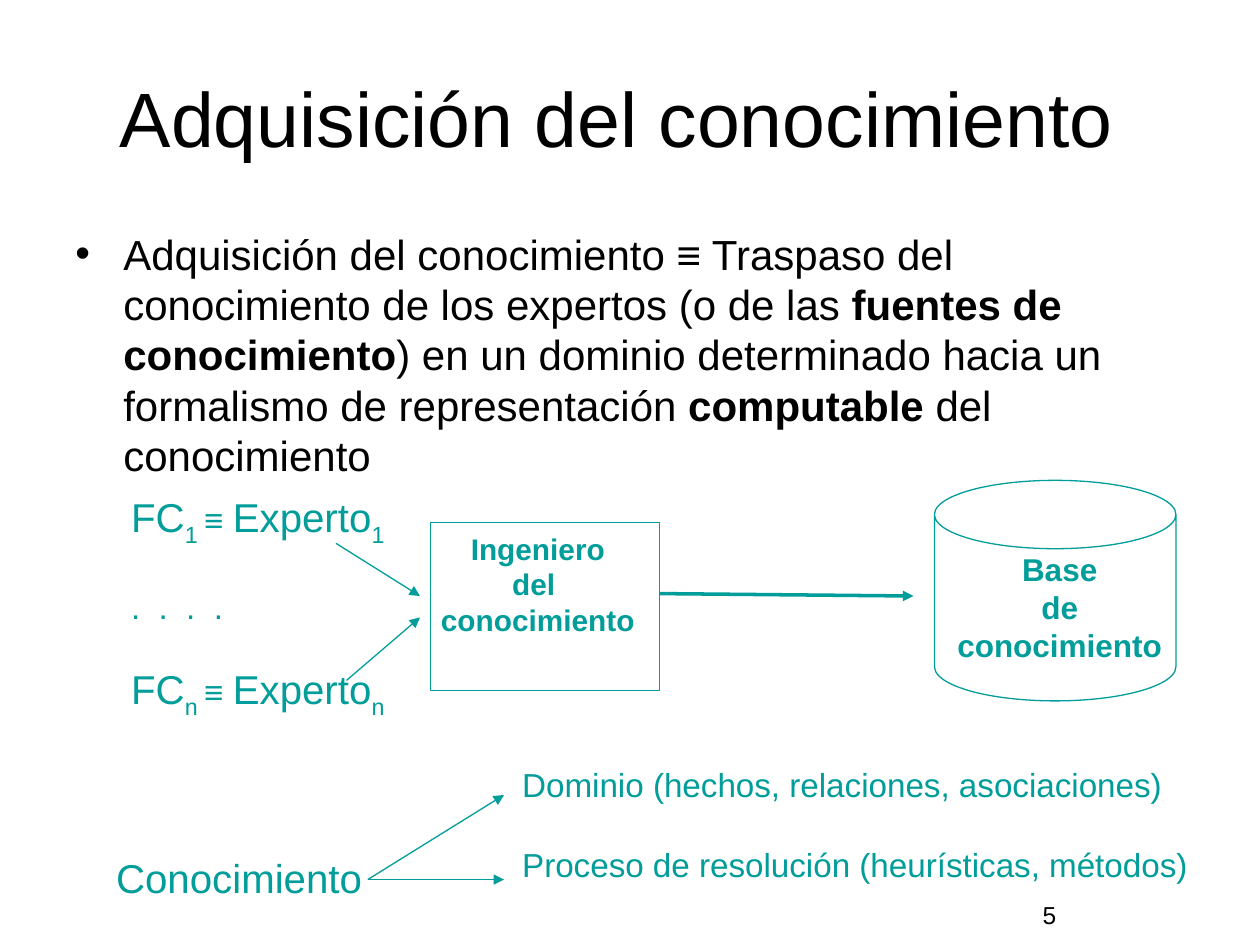
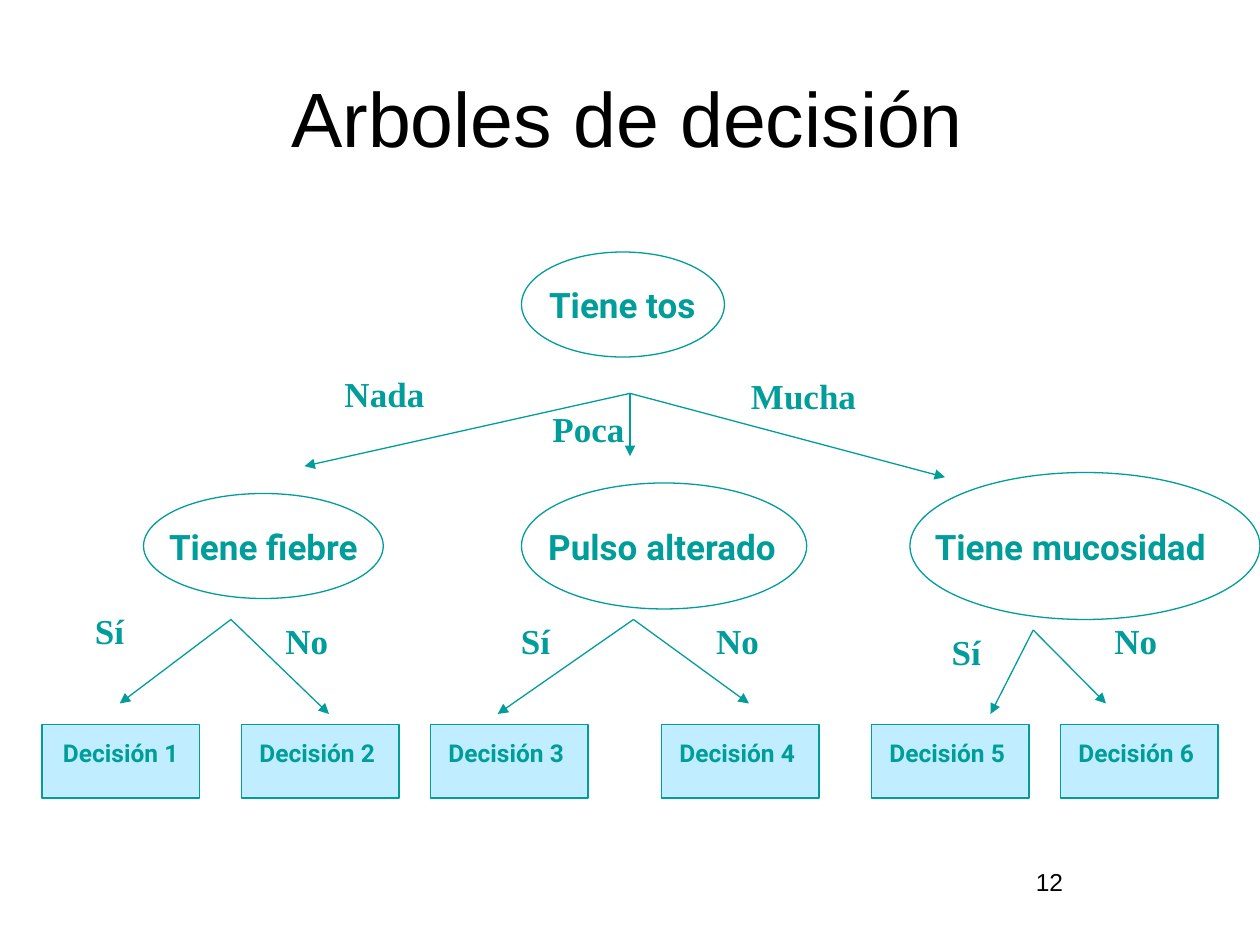
"""Builds two slides on knowledge acquisition and decision trees."""
from lxml import etree
from pptx import Presentation
from pptx import util as u
from pptx.dml import color
from pptx.enum import shapes, text
from pptx.oxml import ns

COLORS = {"ink": "000000", "teal": "009D9A", "paper": "FFFFFF", "ice": "C0EDFF"}
CENTER, LEFT = text.PP_ALIGN.CENTER, text.PP_ALIGN.LEFT
TOP, MIDDLE = text.MSO_ANCHOR.TOP, text.MSO_ANCHOR.MIDDLE

PLAIN = {"size": 23, "name": "Arial", "color": "teal", "bold": False}
BODY = {**PLAIN, "size": 24, "color": "ink"}
DETAIL = {**PLAIN, "size": 19}
BRANCH = {**PLAIN, "size": 20, "name": "Times New Roman", "bold": True}
NODE = {**BRANCH, "name": "Roboto"}
DECISION = {**NODE, "size": 14}
TIGHT = (0, 0, 2.9, 0)  # left, top, right, bottom
PADDED = (2.9, 2.9, 6.5, 2.9)
HEADING = (4.3, 4.3, 10.1, 4.3)
NUMBER = (7.2, 3.6, 7.2, 3.6)


def rgb(name):
    """Look up a palette colour."""
    return color.RGBColor.from_string(COLORS[name])


def add_span(para, words, style):
    """Add a run; baseline and spacing are optional character attributes."""
    span = para.add_run()
    span.text = words
    values = {"size": u.Pt(style["size"]), "name": style["name"], "bold": style["bold"]}
    for key, value in values.items():
        setattr(span.font, key, value)
    span.font.color.rgb = rgb(style["color"])
    for key in ("baseline", "spc"):
        if key in style:
            span._r.get_or_add_rPr().set(key, str(style[key]))


def indent(para, margin, hanging=0):
    """Set the left margin and first line indent of a paragraph."""
    props = para._p.get_or_add_pPr()
    props.set("marL", str(u.Pt(margin)))
    props.set("indent", str(u.Pt(hanging)))
    return props


def add_text(page, area, paras, style, insets=TIGHT, align=CENTER,
             anchor=TOP, wrap=False, margin=2.9):
    """Add a text box; each paragraph is a string or a list of (words, style)."""
    box = page.shapes.add_textbox(*map(u.Pt, area))
    frame = box.text_frame
    left, top, right, bottom = map(u.Pt, insets)
    values = {"margin_left": left, "margin_top": top, "margin_right": right,
              "margin_bottom": bottom, "word_wrap": wrap, "vertical_anchor": anchor,
              "auto_size": text.MSO_AUTO_SIZE.NONE}
    for key, value in values.items():
        setattr(frame, key, value)
    for index, spans in enumerate(paras):
        para = frame.add_paragraph() if index else frame.paragraphs[0]
        para.alignment = align
        indent(para, margin)
        for words, look in [(spans, style)] if isinstance(spans, str) else spans:
            add_span(para, words, look)
    return frame


def add_figure(page, kind, area, fill="paper"):
    """Add a filled preset shape with a thin teal outline."""
    figure = page.shapes.add_shape(kind, *map(u.Pt, area))
    figure.shadow.inherit = False
    figure.fill.solid()
    figure.fill.fore_color.rgb = rgb(fill)
    figure.line.color.rgb = rgb("teal")
    figure.line.width = u.Pt(0.74)
    return figure


def add_arrow(page, start, end, width=0.74):
    """Add a straight teal arrow."""
    arrow = page.shapes.add_connector(shapes.MSO_CONNECTOR.STRAIGHT,
                                      *map(u.Pt, (*start, *end)))
    arrow.line.color.rgb = rgb("teal")
    arrow.line.width = u.Pt(width)
    etree.SubElement(arrow.line._get_or_add_ln(), ns.qn("a:tailEnd"), type="triangle")
    etree.SubElement(arrow._element.spPr, ns.qn("a:effectLst"))


def add_page(deck, title, number, number_top):
    """Add a blank page with its title and page number."""
    page = deck.slides.add_slide(deck.slide_layouts[6])
    add_text(page, (36, 7.2, 648, 118.8), [title], {**BODY, "size": 44},
             HEADING, anchor=MIDDLE, wrap=True)
    add_text(page, (587.5, number_top, 24.5, 23.8), [number], {**BODY, "size": 14},
             NUMBER, margin=0)
    return page


def add_definition(page):
    """Add the bulleted definition."""
    strong = {**BODY, "bold": True}
    frame = add_text(page, (36, 126, 648, 414), [[
        ("Adquisición del conocimiento ≡ Traspaso del conocimiento de los expertos "
         "(o de las ", BODY),
        ("fuentes de conocimiento", strong),
        (") en un dominio determinado hacia un formalismo de representación ", BODY),
        ("computable", strong),
        (" del conocimiento", BODY)]], BODY, HEADING, LEFT, wrap=True)
    para = frame.paragraphs[0]
    para.space_before = u.Pt(7)
    props = indent(para, 30.2, -27.4)
    etree.SubElement(props, ns.qn("a:buFont"), typeface="Arial")
    etree.SubElement(props, ns.qn("a:buChar"), char="•")


def add_sources(page):
    """Add the list of knowledge sources, from the first to the nth."""
    below = {**PLAIN, "baseline": -26000}

    def source(mark):
        return [("FC", PLAIN), (mark + " ", below), ("≡ ", DETAIL),
                ("Experto", PLAIN), (mark, below)]

    dots = [(". . . .", {**DETAIL, "spc": 264})]
    frame = add_text(page, (72, 281.5, 154.8, 131.8),
                     [source("1"), dots, source("n")], PLAIN, align=LEFT)
    for para in frame.paragraphs[1:]:
        para.space_before = u.Pt(22)


def build_acquisition(deck):
    """Build the knowledge acquisition slide."""
    page = add_page(deck, "Adquisición del conocimiento ", "5", 510.5)
    add_definition(page)
    add_figure(page, shapes.MSO_SHAPE.RECTANGLE, (246, 298.8, 131, 95.8))
    store = add_figure(page, shapes.MSO_SHAPE.CAN, (534, 274.5, 138, 126))
    store.adjustments[0] = 0.31
    add_text(page, (540, 312.5, 131, 69), ["Base", "de", "conocimiento"],
             {**PLAIN, "size": 18, "bold": True}, (2.2, 2.2, 7.2, 2.2),
             anchor=MIDDLE, margin=5)
    add_arrow(page, (377, 339.2), (522, 340.6), 2)
    add_text(page, (235.4, 303.1, 144, 71.3), ["Ingeniero", "del ", "conocimiento"],
             {**PLAIN, "size": 17, "bold": True}, wrap=True)
    add_sources(page)
    add_arrow(page, (192, 310.5), (240, 340.6))
    add_arrow(page, (198, 388.8), (240, 352.8))

    add_text(page, (63.4, 487.4, 147.6, 27.4), ["Conocimiento"], PLAIN, align=LEFT)
    kinds = [("Dominio (hechos, relaciones, asociaciones)", 437, 454.3),
             ("Proceso de resolución (heurísticas, métodos)", 482.4, 502.6)]
    for words, top, tip in kinds:
        add_arrow(page, (210.2, 502.6), (288, tip))
        add_text(page, (295.5, top, 380, 23), [words], DETAIL, align=LEFT)


def build_tree(deck):
    """Build the decision tree slide."""
    page = add_page(deck, "Arboles de decisión", "12", 491.8)
    # question, ellipse area, left and width of its words, middle of the words
    nodes = [("Tiene tos", (298, 144, 116, 60), 304.5, 103, 174.2),
             ("Tiene mucosidad", (520, 270, 200, 84), 521.3, 181.4, 312.5),
             ("Tiene fiebre", (82, 282, 137, 60), 85, 131.8, 312.5),
             ("Pulso alterado", (298, 276, 163, 72), 300.2, 157, 312.5)]
    for words, area, left, width, middle in nodes:
        add_figure(page, shapes.MSO_SHAPE.OVAL, area)
        add_text(page, (left, middle - 15, width, 30), [words], NODE, PADDED,
                 anchor=MIDDLE)

    # each fork: its start and the ends of its arrows
    forks = [((360, 224.8), [(174, 266.4), (360, 260.6), (540, 272.7)]),
             ((132, 354), [(68.4, 402), (188, 408)]),
             ((362, 354), [(284.4, 408), (428, 402)]),
             ((590.4, 360), [(566, 408), (632, 402)])]
    for start, ends in forks:
        for end in ends:
            add_arrow(page, start, end)

    answers = [("Nada", 193.7, 213, 52), ("Mucha", 426.2, 214, 66),
               ("Poca", 303.8, 233, 65),
               ("Sí", 51.1, 348, 23), ("No", 159.8, 354, 31),
               ("Sí", 294.5, 354, 23), ("No", 406, 354, 31),
               ("Sí", 540.7, 360, 23), ("No", 633.6, 354, 31)]
    for words, left, top, width in answers:
        add_text(page, (left, top, width, 24), [words], BRANCH)

    for number, left in enumerate((24, 138, 246, 378, 498, 606), start=1):
        add_figure(page, shapes.MSO_SHAPE.RECTANGLE, (left, 414, 90, 42), "ice")
        shift = 6 if number == 1 else 4.3
        add_text(page, (left + shift, 422, 78, 17), [f"Decisión {number}"], DECISION)


def main():
    """Build and save the deck."""
    deck = Presentation()
    deck.slide_width, deck.slide_height = u.Pt(720), u.Pt(540)
    build_acquisition(deck)
    build_tree(deck)
    deck.save("out.pptx")


main()
